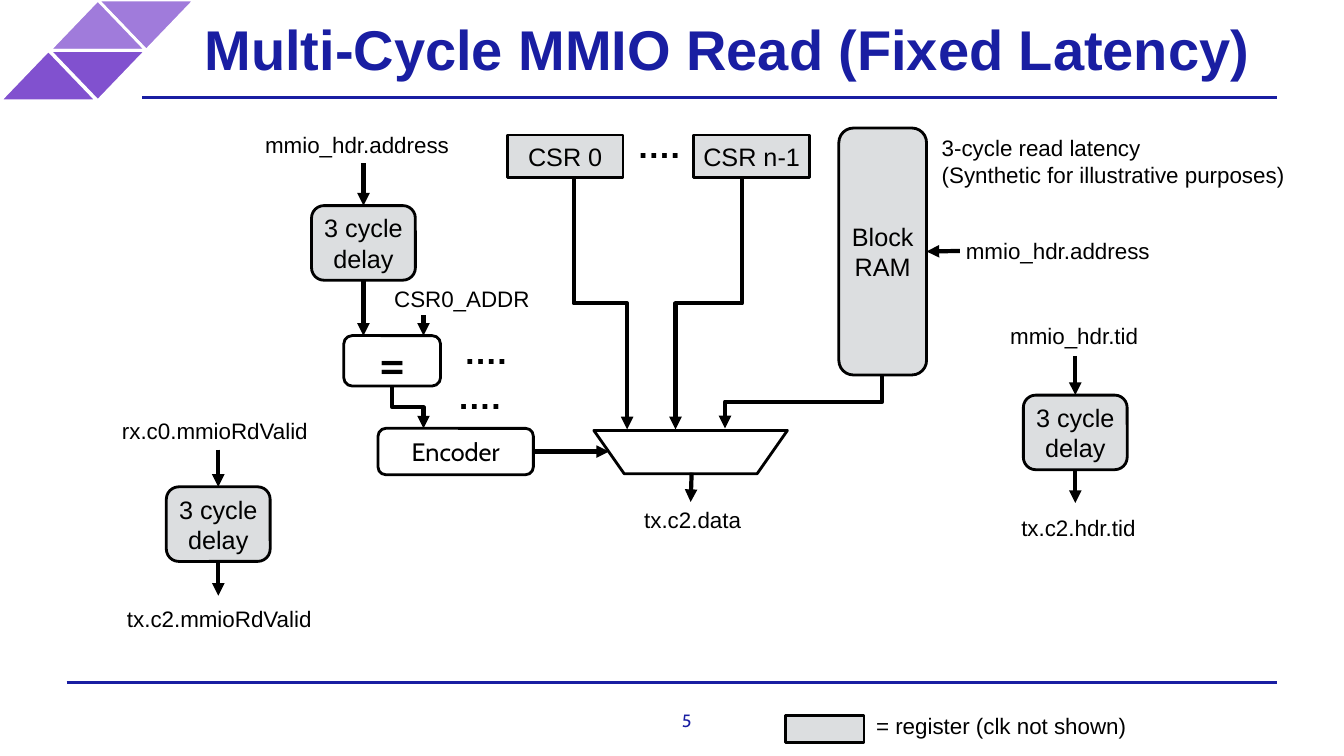
"""Draw the multi-cycle MMIO read slide on a grid of tenth-inch columns and rows."""
from dataclasses import dataclass
from typing import NamedTuple, Optional

from lxml.etree import SubElement
from pptx import Presentation
from pptx.dml.color import RGBColor
from pptx.enum.shapes import MSO_CONNECTOR as Link, MSO_SHAPE as Form
from pptx.enum.text import MSO_ANCHOR as Anchor, MSO_AUTO_SIZE as Fit, PP_ALIGN as Align
from pptx.oxml.ns import qn
from pptx.util import Inches, Pt


@dataclass(frozen=True)
class Theme:
    navy: str = "191EA2"
    lilac: str = "A07BDB"
    purple: str = "8151CF"
    register: str = "DCDEE0"
    white: str = "FFFFFF"
    black: str = "000000"
    sans: str = "Arial"
    accent: str = "Cabin"
    title: float = 40
    dots: float = 24
    block: float = 18
    label: float = 16
    number: float = 12.7
    outline: float = 2
    wire: float = 3


class Area(NamedTuple):
    column: float
    row: float
    columns: float
    rows: float


class Point(NamedTuple):
    column: float
    row: float


class Style(NamedTuple):
    font: str
    size: float
    colour: str
    bold: bool = False
    align: Align = Align.LEFT


class Block(NamedTuple):
    name: str
    area: Area
    text: str = ""
    form: Form = Form.ROUNDED_RECTANGLE
    fill: str = Theme.register
    font: str = Theme.sans
    size: float = Theme.block
    line: str = Theme.black
    turn: float = 0


class Label(NamedTuple):
    text: str
    column: float
    row: float
    columns: float = 20.3
    rows: float = 3.8


class Wire(NamedTuple):
    start: Point
    end: Point
    source: Optional[str] = None
    source_side: int = 2
    target: Optional[str] = None
    target_side: int = 0


THEME = Theme()
LABEL = Style(THEME.sans, THEME.label, THEME.black)
DOTS = Style(THEME.sans, THEME.dots, THEME.black, True)
TITLE = Style(THEME.sans, THEME.title, THEME.navy, True)
NUMBER = Style(THEME.accent, THEME.number, THEME.navy, align=Align.CENTER)
PADDING = 0.6

TRIANGLES = [
    Block(f"triangle {index}", Area(column, row, 9.6, 5), form=Form.ISOSCELES_TRIANGLE,
          fill=fill, line=THEME.white, turn=turn)
    for index, (column, row, fill, turn) in enumerate([
        (9.7, 0, THEME.lilac, 180), (4.9, 0, THEME.lilac, 0),
        (4.9, 5, THEME.purple, 180), (0, 5, THEME.purple, 0)])]
DELAYS = [
    Block(name, Area(column, row, 10.3, 7.4), "3 cycle delay")
    for name, column, row in [
        ("address delay", 30.9, 20.4), ("valid delay", 16.5, 48.3), ("tid delay", 101.5, 39.2)]]
REGISTERS = [
    Block(text, Area(column, 13.4, 11.5, 4.2), text, Form.RECTANGLE)
    for text, column in [("CSR 0", 50.3), ("CSR n-1", 68.8)]]
BLOCKS = TRIANGLES + DELAYS + REGISTERS + [
    Block("comparator", Area(34.1, 33.3, 9.6, 5), "=", fill=THEME.white,
          font=THEME.accent, size=THEME.title),
    Block("encoder", Area(37.5, 42.5, 15.4, 4.6), "Encoder", fill=THEME.white,
          font=THEME.accent),
    Block("block ram", Area(83.2, 12.7, 8.7, 24.5), "Block RAM"),
    Block("multiplexer", Area(58.9, 42.7, 19.2, 4.3), form=Form.TRAPEZOID,
          fill=THEME.white, turn=180),
    Block("legend", Area(77.9, 71, 7.8, 2.7), form=Form.RECTANGLE)]
LABELS = [
    Label("mmio_hdr.address", 25.7, 12.4), Label("mmio_hdr.address", 95.2, 23),
    Label("CSR0_ADDR", 38.5, 27.7), Label("rx.c0.mmioRdValid", 11.5, 40.8),
    Label("tx.c2.mmioRdValid", 12, 59.5), Label("tx.c2.data", 63.3, 49.6),
    Label("mmio_hdr.tid", 99.6, 31.4), Label("tx.c2.hdr.tid", 100.7, 50.4),
    Label("= register (clk not shown)", 86.3, 70.1, 27.6),
    Label("3-cycle read latency\n(Synthetic for illustrative purposes)", 92.8, 12.7, 40.5, 6.5)]
DOT_SPOTS = [Point(45.4, 32.2), Point(44.8, 36.7), Point(62.6, 11.8)]
WIRES = [
    Wire(Point(36.05, 16.2), Point(36.05, 20.4), target="address delay"),
    Wire(Point(36.05, 27.8), Point(36.05, 33.3), source="address delay"),
    Wire(Point(42, 31.3), Point(42, 33.3)),
    Wire(Point(52.9, 44.8), Point(60.4, 44.8), source="encoder", source_side=3),
    Wire(Point(68.6, 46.9), Point(68.5, 49.8)),
    Wire(Point(95.2, 24.9), Point(91.9, 24.95), target="block ram", target_side=3),
    Wire(Point(21.65, 44.6), Point(21.65, 48.3), target="valid delay"),
    Wire(Point(21.65, 55.7), Point(21.65, 59.1), source="valid delay"),
    Wire(Point(106.65, 35.3), Point(106.65, 39.2), target="tid delay"),
    Wire(Point(106.65, 46.6), Point(106.65, 49.9), source="tid delay")]
BENDS = [
    Wire(Point(38.9, 38.3), Point(42, 42.5)), Wire(Point(56.9, 17.6), Point(62.2, 42.6)),
    Wire(Point(73.6, 17.6), Point(67, 42.6)), Wire(Point(87.5, 37.2), Point(71.9, 42.5))]
RULES = [Wire(Point(6.6, 67.7), Point(126.7, 67.7)), Wire(Point(14.1, 9.7), Point(126.7, 9.7))]


def grid(*cells: float) -> list:
    return [Inches(cell / 10) for cell in cells]


def colour(code: str) -> RGBColor:
    return RGBColor.from_string(code)


def write(box, text: str, style: Style, padding: float = PADDING, wrap: bool = True) -> None:
    frame = box.text_frame
    frame.text = text
    frame.word_wrap = wrap
    frame.auto_size = Fit.NONE
    frame.vertical_anchor = Anchor.MIDDLE
    frame.margin_left = frame.margin_right = frame.margin_top = frame.margin_bottom = grid(padding)[0]
    for para in frame.paragraphs:
        para.alignment = style.align
        for span in para.runs:
            span.font.name, span.font.size, span.font.bold = style.font, Pt(style.size), style.bold
            span.font.color.rgb = colour(style.colour)


def draw_text(page, text: str, area: Area, style: Style) -> None:
    write(page.shapes.add_textbox(*grid(*area)), text, style)


def draw_block(page, block: Block):
    box = page.shapes.add_shape(block.form, *grid(*block.area))
    box.shadow.inherit = False
    box.rotation = block.turn
    box.fill.solid()
    box.fill.fore_color.rgb = colour(block.fill)
    box.line.color.rgb = colour(block.line)
    box.line.width = Pt(THEME.outline)
    if block.form == Form.TRAPEZOID:
        box.adjustments[0] = 0.7
    if block.text:
        write(box, block.text, Style(block.font, block.size, THEME.black, align=Align.CENTER))
    return box


def draw_line(page, kind: Link, start: Point, end: Point, code: str, width: float, arrow: bool):
    line = page.shapes.add_connector(kind, *grid(*start, *end))
    line.line.color.rgb = colour(code)
    line.line.width = Pt(width)
    if arrow:
        SubElement(line.line._get_or_add_ln(), qn("a:tailEnd"), type="triangle")
    SubElement(line._element.spPr, qn("a:effectLst"))
    return line


def draw_wire(page, wire: Wire, boxes: dict) -> None:
    line = draw_line(page, Link.STRAIGHT, wire.start, wire.end, THEME.black, THEME.wire, True)
    if wire.source:
        line.begin_connect(boxes[wire.source], wire.source_side)
    if wire.target:
        line.end_connect(boxes[wire.target], wire.target_side)


def draw_bend(page, wire: Wire) -> None:
    across, down = wire.end.column - wire.start.column, wire.end.row - wire.start.row
    middle = Point(wire.start.column + across / 2, wire.start.row + down / 2)
    corner = Point(middle.column - down / 2, middle.row - abs(across) / 2)
    opposite = Point(corner.column + down, corner.row + abs(across))
    line = draw_line(page, Link.ELBOW, corner, opposite, THEME.black, THEME.wire, True)
    frame = line._element.spPr.get_or_add_xfrm()
    frame.set("rot", str((270 if across > 0 else 90) * 60000))
    if across > 0:
        frame.set("flipH", "1")


def main() -> None:
    deck = Presentation()
    deck.slide_width, deck.slide_height = grid(133.3, 75)
    page = deck.slides.add_slide(deck.slide_layouts[5])
    for rule in RULES:
        draw_line(page, Link.STRAIGHT, rule.start, rule.end, THEME.navy, THEME.outline, False)
    title = page.shapes.title
    title.left, title.top, title.width, title.height = grid(18.9, 0, 115.8, 9.5)
    write(title, "Multi-Cycle MMIO Read (Fixed Latency)", TITLE, 1.4)
    write(page.shapes.add_textbox(*grid(67.1, 70.4, 2, 2.1)), "5", NUMBER, 0, False)
    boxes = {block.name: draw_block(page, block) for block in BLOCKS}
    for label in LABELS:
        draw_text(page, label.text, Area(*label[1:]), LABEL)
    for spot in DOT_SPOTS:
        draw_text(page, "….", Area(*spot, 5.6, 5.2), DOTS)
    for wire in WIRES:
        draw_wire(page, wire, boxes)
    for bend in BENDS:
        draw_bend(page, bend)
    deck.save("out.pptx")


if __name__ == "__main__":
    main()
